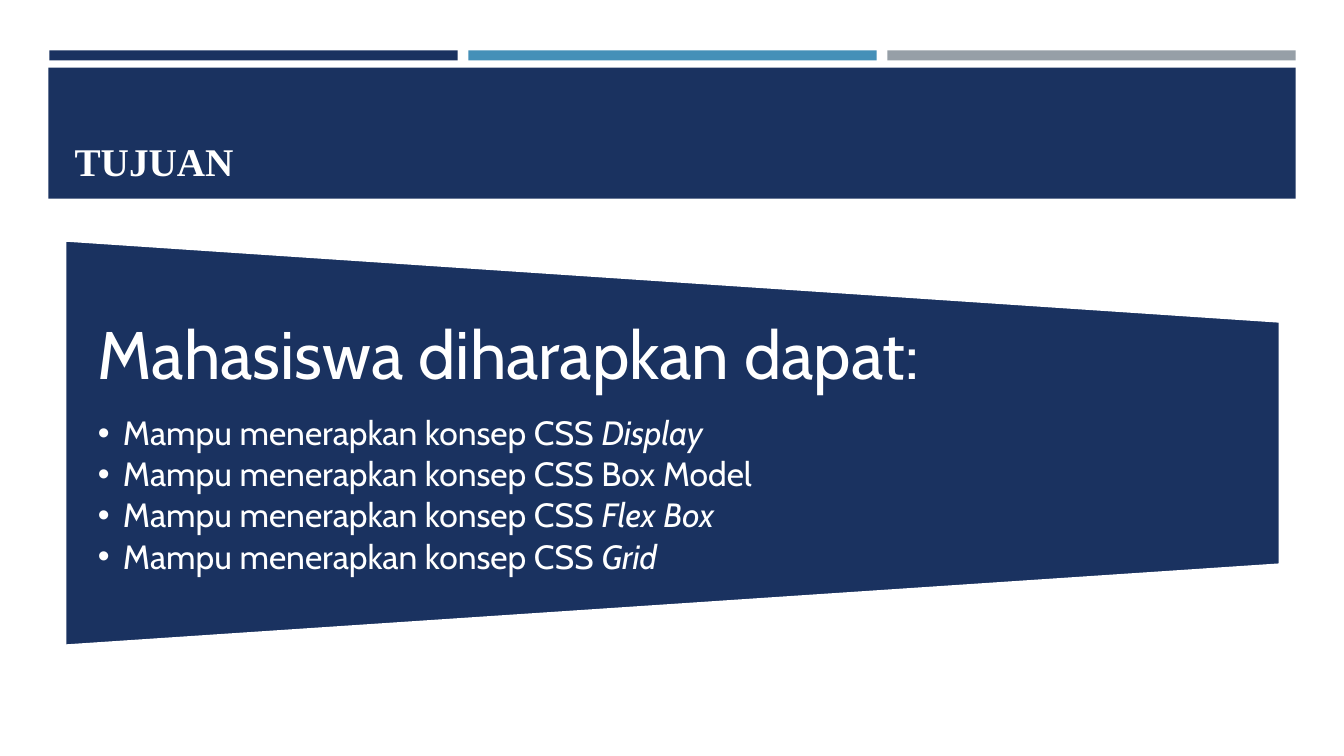
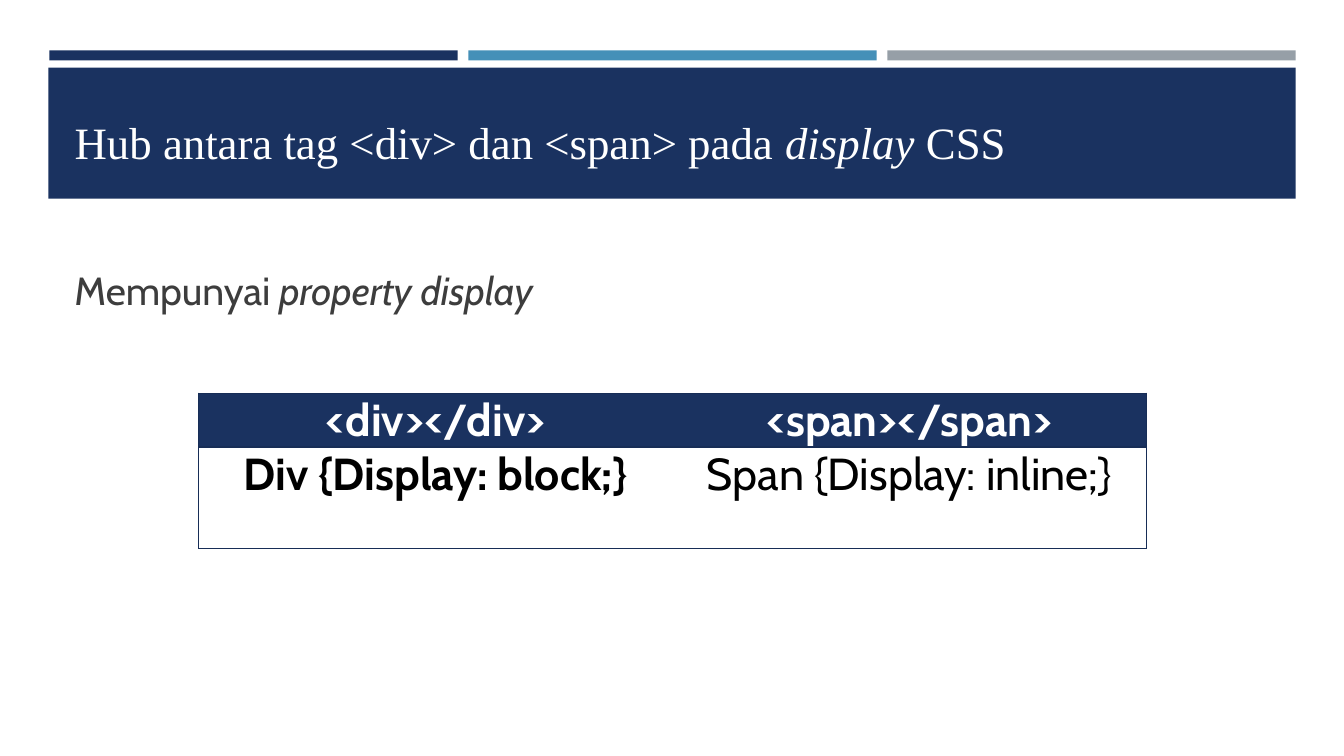
import pptx
import pptx.dml.color
import pptx.enum.shapes
import pptx.enum.text
import pptx.oxml
import pptx.oxml.ns
import pptx.util
from lxml import etree

Inches, Pt = pptx.util.Inches, pptx.util.Pt
Align, Anchor = pptx.enum.text.PP_ALIGN, pptx.enum.text.MSO_ANCHOR
Shape = pptx.enum.shapes.MSO_SHAPE
qn = pptx.oxml.ns.qn

COLORS = {"navy": "1A3260", "blue": "4590B8", "gray": "969FA7",
          "edge": "172D56", "text": "3D3D3D", "white": "FFFFFF",
          "black": "000000"}
SERIF, SANS = "Times New Roman", "Cabin"
PLAIN_TABLE = "{2D5ABB26-0587-4C30-8999-92F81FD0307C}"
LEFT, WIDTH = 0.64, 12.06


def color(name):
    return pptx.dml.color.RGBColor.from_string(COLORS[name])


class Deck:
    def __init__(self):
        self.prs = pptx.Presentation()
        self.prs.slide_width = Inches(13.33)
        self.prs.slide_height = Inches(7.5)
        self.layout = self.prs.slide_layouts[5]
        self.slide = None

    def start(self):
        first = self.slide is None
        self.slide = self.prs.slides.add_slide(self.layout)
        if first:
            self.bands()

    def bands(self):
        """Draw the header bands once and move them to the layout."""
        bars = [self.shape(Shape.RECTANGLE, 0.49 + i * 4.155, 0.5, 4.05, 0.1, name)
                for i, name in enumerate(("navy", "blue", "gray"))]
        bars.append(self.shape(Shape.RECTANGLE, 0.48, 0.67, 12.37, 1.3, "navy"))
        for num, bar in enumerate(bars, 20):
            bar.element.find(".//" + qn("p:cNvPr")).set("id", str(num))
            self.layout.shapes.element.append(bar.element)

    def shape(self, kind, x, y, w, h, fill, line=None, turn=0):
        item = self.slide.shapes.add_shape(kind, Inches(x), Inches(y), Inches(w), Inches(h))
        item.shadow.inherit = False
        item.fill.solid()
        item.fill.fore_color.rgb = color(fill)
        if line:
            item.line.color.rgb = color(line)
            item.line.width = Pt(1.75)
        else:
            item.line.fill.background()
        item.rotation = turn
        return item

    def words(self, para, text, size, tint, face=SANS, bold=False,
              align=Align.LEFT, after=0, lead=None, bullet=False):
        """Fill a paragraph; parts between asterisks are italic."""
        para.alignment = align
        para.space_after = Pt(after)
        if lead:
            para.line_spacing = lead
        if bullet:
            props = para._p.get_or_add_pPr()
            props.set("marL", str(Inches(0.25)))
            props.set("indent", str(-Inches(0.25)))
            etree.SubElement(props, qn("a:buFont")).set("typeface", "Arial")
            etree.SubElement(props, qn("a:buChar")).set("char", "•")
        font = para.font
        font.name, font.size, font.bold = face, Pt(size), bold
        font.color.rgb = color(tint)
        for i, part in enumerate(text.split("*")):
            if part:
                run = para.add_run()
                run.text = part
                if i % 2:
                    run.font.italic = True

    def title(self, text, y, h, size, anchor, **style):
        head = self.slide.shapes.title
        head.left, head.top = Inches(LEFT), Inches(y)
        head.width, head.height = Inches(WIDTH), Inches(h)
        frame = head.text_frame
        frame.auto_size = pptx.enum.text.MSO_AUTO_SIZE.NONE
        frame.vertical_anchor = anchor
        self.words(frame.paragraphs[0], text, size, "white", SERIF, **style)

    def box(self, y, h, anchor=Anchor.TOP):
        frame = self.slide.shapes.add_textbox(
            Inches(LEFT), Inches(y), Inches(WIDTH), Inches(h)).text_frame
        frame.word_wrap = True
        frame.vertical_anchor = anchor
        return frame

    def goals(self, lead, items):
        self.shape(Shape.FLOWCHART_MANUAL_OPERATION, 4.66, -1.63, 4.02, 12.05,
                   "navy", "white", 270)
        frame = self.box(3.19, 2.41)
        frame.margin_left = frame.margin_right = Inches(0.33)
        frame.margin_top = frame.margin_bottom = 0
        self.words(frame.paragraphs[0], lead, 48, "white", after=16, lead=0.9)
        for item in items:
            self.words(frame.add_paragraph(), item, 24, "white", after=3.5,
                       lead=0.9, bullet=True)

    def edge(self, cell, sides):
        """Line the given sides of a cell, in the order L, R, T, B."""
        props = cell._tc.get_or_add_tcPr()
        for i, side in enumerate(sides):
            line = pptx.oxml.parse_xml(
                f'<a:ln{side} {pptx.oxml.ns.nsdecls("a")} w="12700"><a:solidFill>'
                f'<a:srgbClr val="{COLORS["edge"]}"/></a:solidFill></a:ln{side}>')
            props.insert(i, line)

    def table(self, rows, x, y, w, heights):
        grid = self.slide.shapes.add_table(len(rows), len(rows[0]), Inches(x), Inches(y),
                                           Inches(w), Inches(sum(heights))).table
        grid._tbl.tblPr.find(qn("a:tableStyleId")).text = PLAIN_TABLE
        grid.horz_banding = False
        for r, row in enumerate(rows):
            grid.rows[r].height = Inches(heights[r])
            for c, text in enumerate(row):
                cell = grid.cell(r, c)
                cell.margin_left = cell.margin_right = Inches(0.07)
                cell.margin_top = cell.margin_bottom = 0
                if r == 0:
                    cell.fill.solid()
                    cell.fill.fore_color.rgb = color("navy")
                else:
                    cell.fill.background()
                self.edge(cell, ("R" if c else "L") + ("TB" if r else "T"))
                self.words(cell.text_frame.paragraphs[0], text, 32,
                           "black" if r else "white", bold=r == 0 or c == 0,
                           align=Align.CENTER)


def main():
    deck = Deck()

    deck.start()
    deck.title("TUJUAN", 0.77, 1.11, 28, Anchor.BOTTOM, bold=True)
    topics = ("*Display*", "Box Model", "*Flex Box*", "*Grid*")
    deck.goals("Mahasiswa diharapkan dapat:",
               [f"Mampu menerapkan konsep CSS {topic}" for topic in topics])

    deck.start()
    deck.title("Hub antara tag <div> dan <span> pada *display* CSS",
               1.09, 0.64, 32, Anchor.TOP, align=Align.JUSTIFY)
    body = deck.box(2.38, 1, Anchor.MIDDLE)
    deck.words(body.paragraphs[0], "Mempunyai *property display*", 28, "text")
    deck.table([["<div></div>", "<span></span>"],
                ["Div {Display: block;}", "Span {Display: inline;}"]],
               1.97, 3.9, 9.4, (0.5, 1.01))

    deck.prs.save("out.pptx")


if __name__ == "__main__":
    main()
